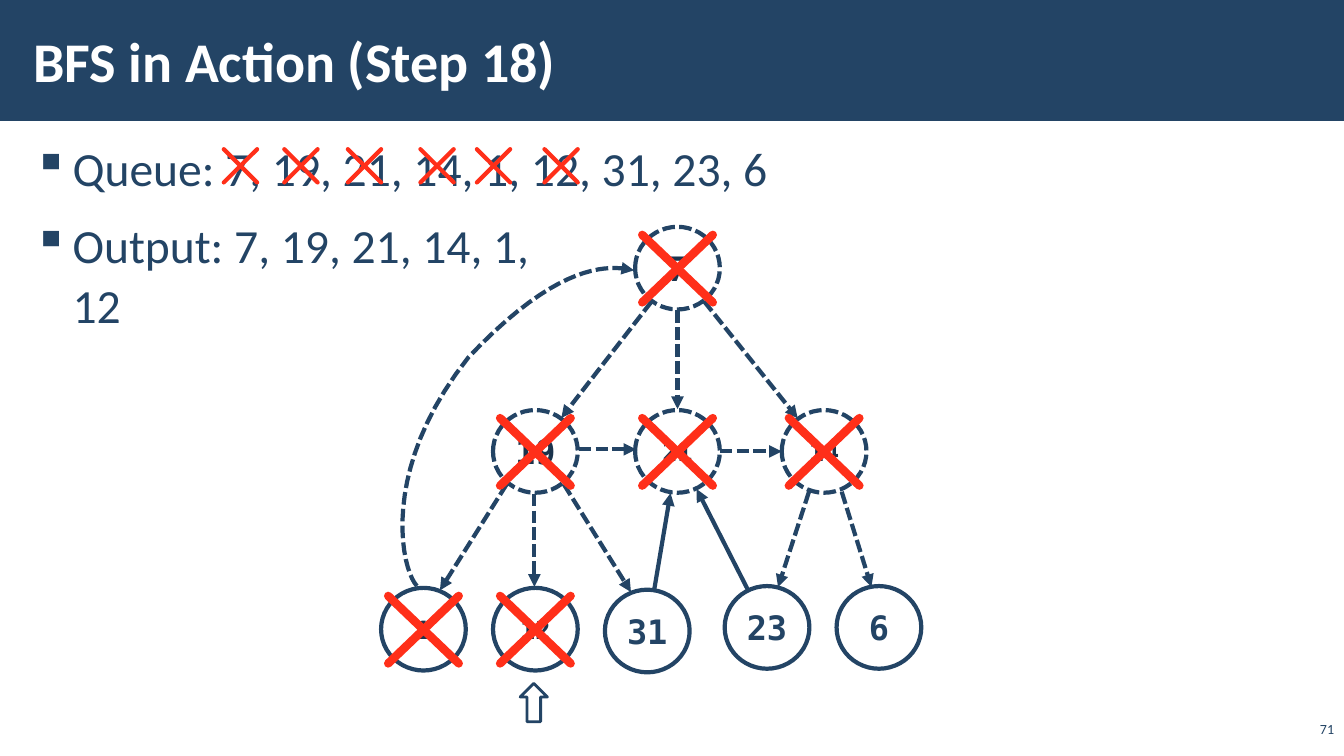
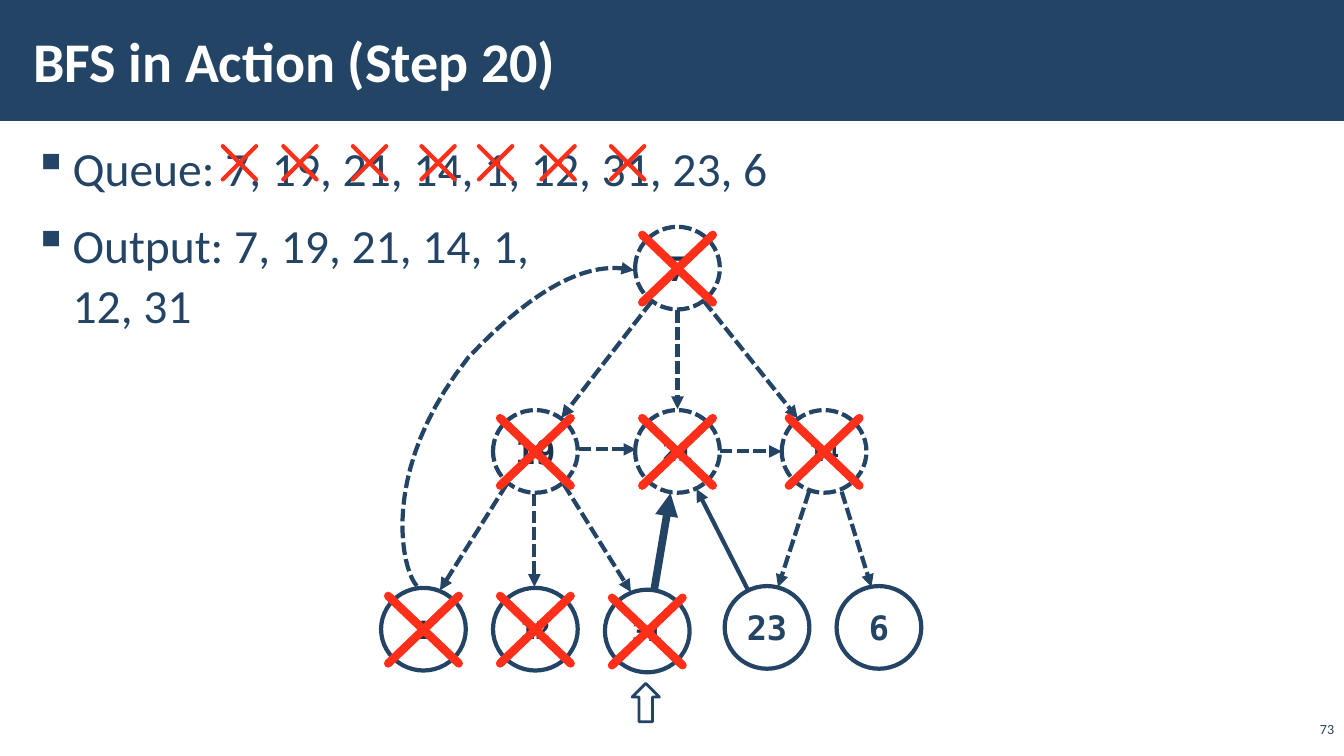
from math import hypot

from lxml.etree import SubElement
from pptx import Presentation
from pptx.dml.color import RGBColor
from pptx.enum.dml import MSO_LINE
from pptx.enum.shapes import MSO_CONNECTOR, MSO_SHAPE
from pptx.enum.text import MSO_ANCHOR, PP_ALIGN
from pptx.oxml.ns import qn
from pptx.util import Inches, Pt

WIDTH, HEIGHT = 13.33, 7.5
NAVY, DARK, RED, WHITE = "234465", "1A334C", "FF2F19", "FFFFFF"
SANS, MONO = "Calibri", "DejaVu Sans Mono"
COL, ROW = 1.11, 1.8
NODE_W, NODE_H = 0.84, 0.82
GRAPH_LEFT, GRAPH_TOP = 3.78, 2.25

# Column and row of each node
NODES = {
    "7": (2.27, 0),
    "19": (1, 1.01), "21": (2.27, 1.01), "14": (3.58, 1.01),
    "1": (0, 1.99), "12": (1, 1.99), "31": (2, 2),
    "23": (3.07, 1.98), "6": (4.07, 1.98),
}
# Source, target and sideways shift in inches
EDGES = [
    ("7", "19", 0, 0), ("7", "21", 0, 0), ("7", "14", 0, 0),
    ("19", "1", -0.06, -0.03), ("19", "12", -0.01, 0), ("19", "31", 0.06, -0.03),
    ("14", "23", -0.02, 0), ("14", "6", 0.05, 0),
    ("19", "21", 0.01, -0.02), ("21", "14", 0, 0),
    ("31", "21", 0, 0), ("23", "21", 0, 0),
]
SOLID_SOURCES = {"31", "23"}
LARGE_LABELS = {"7", "19", "23", "6"}
# Two cubic curves from node 1 back to node 7, in columns and rows
BACK_EDGE = [(0.32, 1.98), (0.18, 1.89), (-0.02, 1.34), (0.78, 0.72),
             (1.59, 0.19), (2.04, 0.21), (2.26, 0.24)]

STEPS = [
    dict(step=18, page=71, output=["12"], current="12", bold_edge=None,
         struck=["7", "19", "21", "14", "1", "12"],
         marks=[2.22, 2.82, 3.45, 4.17, 4.73, 5.4], marks_top=1.48),
    dict(step=20, page=73, output=["12, 31"], current="31", bold_edge=("31", "21"),
         struck=["7", "19", "21", "14", "1", "12", "31"],
         marks=[2.21, 2.81, 3.5, 4.18, 4.75, 5.37, 6.06], marks_top=1.45),
]


def rgb(color):
    return RGBColor.from_string(color)


def style_line(line, color, width, dashed=False, arrow=False, rounded=False):
    line.color.rgb = rgb(color)
    line.width = Pt(width)
    if dashed:
        line.dash_style = MSO_LINE.SQUARE_DOT
    ln = line._get_or_add_ln()
    if rounded:
        ln.set("cap", "rnd")
    if arrow:
        SubElement(ln, qn("a:tailEnd"), type="triangle")


def add_line(slide, start, end, color, width, **style):
    points = [Inches(v) for v in (*start, *end)]
    sp = slide.shapes.add_connector(MSO_CONNECTOR.STRAIGHT, *points)
    style_line(sp.line, color, width, **style)
    SubElement(sp._element.spPr, qn("a:effectLst"))


def add_cross(slide, x, y, w, h, width):
    add_line(slide, (x, y), (x + w, y + h), RED, width, rounded=True)
    add_line(slide, (x + w, y), (x, y + h), RED, width, rounded=True)


def add_shape(slide, kind, box, fill, opacity=100):
    sp = slide.shapes.add_shape(kind, *[Inches(v) for v in box])
    sp.shadow.inherit = False
    sp.fill.solid()
    sp.fill.fore_color.rgb = rgb(fill)
    sp.line.fill.background()
    if opacity < 100:
        color = sp._element.spPr.find(".//" + qn("a:srgbClr"))
        SubElement(color, qn("a:alpha"), val=str(opacity * 1000))
    return sp


def write(sp, paragraphs, size, color=NAVY, font=SANS, bold=False, align=PP_ALIGN.LEFT,
          anchor=MSO_ANCHOR.TOP, wrap=True, insets=(0.12, 0.04), bullet=None):
    """Fill a shape with paragraphs, each a list of lines."""
    tf = sp.text_frame
    tf.word_wrap = wrap
    tf.vertical_anchor = anchor
    tf.margin_left = tf.margin_right = Inches(insets[0])
    tf.margin_top = tf.margin_bottom = Inches(insets[1])
    for i, lines in enumerate(paragraphs):
        p = tf.paragraphs[0] if i == 0 else tf.add_paragraph()
        p.alignment = align
        if bullet:
            p.line_spacing = 1.05
            p.space_after = Pt(6)
            if i:
                p.space_before = Pt(6)
            pPr = p._p.get_or_add_pPr()
            pPr.set("marL", str(Inches(0.39)))
            pPr.set("indent", str(-Inches(0.39)))
            SubElement(pPr, qn("a:buChar"), char=bullet)
        for j, line in enumerate(lines):
            if j:
                p.add_line_break()
            r = p.add_run()
            r.text = line
            r.font.size, r.font.name, r.font.bold = Pt(size), font, bold
            r.font.color.rgb = rgb(color)


def add_text(slide, box, paragraphs, size, **style):
    sp = slide.shapes.add_textbox(*[Inches(v) for v in box])
    write(sp, paragraphs, size, **style)


def add_frame(slide, title, page):
    """Title band and page number."""
    add_shape(slide, MSO_SHAPE.RECTANGLE, (0, 0, WIDTH, 0.16 * HEIGHT), NAVY)
    add_text(slide, (0.21, 0.11, 10.63, 0.97), [[title]], 40, color=WHITE,
             bold=True, anchor=MSO_ANCHOR.MIDDLE)
    add_text(slide, (WIDTH - 0.47, 7.14, 0.47, 0.22), [[str(page)]], 10,
             align=PP_ALIGN.RIGHT, anchor=MSO_ANCHOR.BOTTOM, insets=(0.1, 0.05))


def add_queue(slide, box, output, marks, marks_top):
    add_text(slide, box, [["Queue: 7, 19, 21, 14, 1, 12, 31, 23, 6"],
                          ["Output: 7, 19, 21, 14, 1,", *output]], 34, bullet="▪")
    for x in marks:
        add_cross(slide, x, marks_top, 0.33, 0.33, 3)


def add_node(slide, name, x, y, struck):
    sp = add_shape(slide, MSO_SHAPE.OVAL, (x, y, NODE_W, NODE_H), WHITE,
                   opacity=70 if struck else 50)
    style_line(sp.line, NAVY, 3, dashed=NODES[name][1] < 1.5)
    write(sp, [[name]], 24 if name in LARGE_LABELS or not struck else 18,
          color=DARK if struck else NAVY, font=MONO, bold=True, align=PP_ALIGN.CENTER,
          anchor=MSO_ANCHOR.MIDDLE, wrap=False, insets=(0.1, 0.05))


def add_edge(slide, start, end, shift, width, dashed):
    """Arrow between the rims of the nodes centred at start and end."""
    dx, dy = end[0] - start[0], end[1] - start[1]
    share = NODE_W / 2 / hypot(dx, dy)
    rims = [(start[0] + t * dx + shift[0], start[1] + t * dy + shift[1])
            for t in (share, 1 - share)]
    add_line(slide, *rims, NAVY, width, dashed=dashed, arrow=True)


def bezier(points, t):
    weights = ((1 - t) ** 3, 3 * t * (1 - t) ** 2, 3 * t * t * (1 - t), t ** 3)
    return tuple(sum(w * p[axis] for w, p in zip(weights, points)) for axis in (0, 1))


def add_back_edge(slide, points, steps=20):
    curve = [points[0]]
    for i in (0, 3):
        curve += [bezier(points[i:i + 4], n / steps) for n in range(1, steps + 1)]
    emu = [(Inches(x), Inches(y)) for x, y in curve]
    builder = slide.shapes.build_freeform(*emu[0])
    builder.add_line_segments(emu[1:], close=False)
    sp = builder.convert_to_shape()
    sp.shadow.inherit = False
    sp.fill.background()
    style_line(sp.line, NAVY, 3, dashed=True, arrow=True)


def add_graph(slide, left, top, struck, current, bold_edge):
    def place(col, row):
        return left + col * COL, top + row * ROW

    corners = {name: place(*cell) for name, cell in NODES.items()}
    centres = {name: (x + NODE_W / 2, y + NODE_H / 2) for name, (x, y) in corners.items()}
    for name, (x, y) in corners.items():
        add_node(slide, name, x, y, name in struck)
    for source, target, *shift in EDGES:
        width = 5.5 if (source, target) == bold_edge else 3
        add_edge(slide, centres[source], centres[target], shift, width,
                 source not in SOLID_SOURCES)
    add_back_edge(slide, [place(*cell) for cell in BACK_EDGE])
    for name in struck:
        x, y = centres[name]
        add_cross(slide, x - 0.35, y - 0.33, 0.7, 0.67, 6)
    pointer = (centres[current][0] - 0.15, top + 4.53, 0.27, 0.38)
    sp = add_shape(slide, MSO_SHAPE.UP_ARROW, pointer, WHITE, opacity=50)
    style_line(sp.line, NAVY, 2)


def add_step(prs, step, page, output, current, bold_edge, struck, marks, marks_top):
    slide = prs.slides.add_slide(prs.slide_layouts[6])
    add_frame(slide, f"BFS in Action (Step {step})", page)
    add_queue(slide, (0.21, 1.31, 12.92, 6.05), output, marks, marks_top)
    add_graph(slide, GRAPH_LEFT, GRAPH_TOP, struck, current, bold_edge)


def main():
    prs = Presentation()
    prs.slide_width, prs.slide_height = Inches(WIDTH), Inches(HEIGHT)
    for step in STEPS:
        add_step(prs, **step)
    prs.save("out.pptx")


if __name__ == "__main__":
    main()
